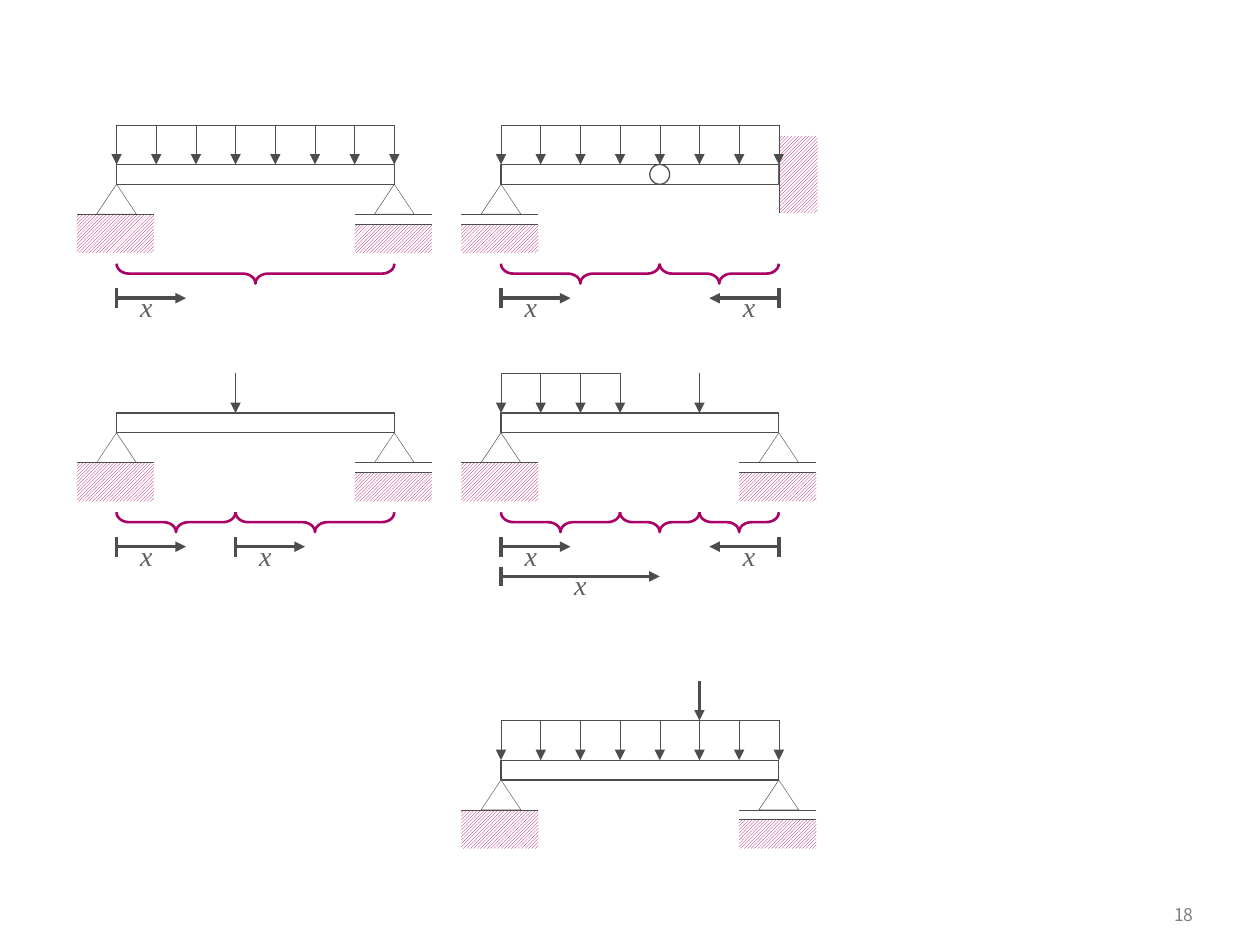
from lxml.etree import SubElement
from pptx import Presentation
from pptx.dml.color import RGBColor
from pptx.enum.dml import MSO_PATTERN
from pptx.enum.shapes import MSO_CONNECTOR, MSO_SHAPE
from pptx.enum.text import MSO_ANCHOR, PP_ALIGN
from pptx.oxml.ns import qn
from pptx.util import Pt

INK = RGBColor(0x4D, 0x4D, 0x4D)
PLUM = RGBColor(0xA9, 0x01, 0x65)
WHITE = RGBColor(0xFF, 0xFF, 0xFF)
GRAY = RGBColor(0x5F, 0x5F, 0x5F)
PALE = RGBColor(0x80, 0x80, 0x80)

BAY = 22.68           # spacing of the load arrows
SPAN = 7 * BAY        # beam length
DEEP = BAY / 2        # beam depth
BASE = 44.1           # length of a support's ground
SOIL = 22.2           # depth of the ground
THIN = 0.25


def add_line(slide, x1, y1, x2, y2, width=THIN, arrow=False):
    line = slide.shapes.add_connector(
        MSO_CONNECTOR.STRAIGHT, Pt(x1), Pt(y1), Pt(x2), Pt(y2))
    line.line.color.rgb = INK
    line.line.width = Pt(width)
    if arrow:
        SubElement(line.line._get_or_add_ln(), qn("a:tailEnd"), type="triangle")
    SubElement(line._element.spPr, qn("a:effectLst"))


def add_form(slide, kind, x, y, w, h, width=0.75, color=INK):
    form = slide.shapes.add_shape(kind, Pt(x), Pt(y), Pt(w), Pt(h))
    form.shadow.inherit = False
    form.fill.background()
    form.line.color.rgb = color
    form.line.width = Pt(width)
    return form


def add_soil(slide, x, y, w, h):
    soil = add_form(slide, MSO_SHAPE.RECTANGLE, x, y, w, h)
    soil.line.fill.background()
    soil.fill.patterned()
    soil.fill.pattern = MSO_PATTERN.LIGHT_UPWARD_DIAGONAL
    soil.fill.fore_color.rgb = PLUM
    soil.fill.back_color.rgb = WHITE
    return soil


def add_text(slide, x, y, w, h, text, font, size, color, align):
    box = slide.shapes.add_textbox(Pt(x), Pt(y), Pt(w), Pt(h))
    box.text_frame.text = text
    para = box.text_frame.paragraphs[0]
    para.alignment = align
    run = para.runs[0]
    run.font.name = font
    run.font.size = Pt(size)
    run.font.color.rgb = color
    return box, run


def add_prop(slide, x, y, roller):
    """Triangle with its tip at x, y, on fixed or rolling ground."""
    floor = y + 0.75 * BAY
    gap = BAY / 4 if roller else 0
    left = x - BAY
    add_soil(slide, left, floor + gap, BASE, SOIL - gap)
    add_line(slide, left, floor, left + BASE, floor)
    if roller:
        add_line(slide, left, floor + gap, left + BASE, floor + gap)
    add_form(slide, MSO_SHAPE.ISOSCELES_TRIANGLE,
             x - BAY / 2, y, BAY, 0.75 * BAY, THIN)


def add_wall(slide, x, y):
    """Clamped end: the ground turned upright, centred on x, y."""
    wall = add_soil(slide, x + (SOIL - BASE) / 2, y - SOIL / 2, BASE, SOIL)
    wall.rotation = 270
    add_line(slide, x, y + BASE / 2, x, y - BASE / 2)


def add_load(slide, x, y, bays):
    """Even load: a top line and one arrow per bay."""
    for i in range(bays + 1):
        at = x + i * BAY
        add_line(slide, at, y - BAY, at, y, arrow=True)
    add_line(slide, x + bays * BAY, y - BAY, x, y - BAY)


def add_brace(slide, x, y, width):
    brace = add_form(slide, MSO_SHAPE.LEFT_BRACE, x + (width - DEEP) / 2,
                     y + (DEEP - width) / 2, DEEP, width, 1.5, PLUM)
    brace.adjustments[0] = 0.625
    brace.adjustments[1] = 0.5
    brace.rotation = 270


def add_axis(slide, x, y, reach, mark):
    """Tick, arrow and letter x; reach and mark are signed bays."""
    add_line(slide, x, y + BAY / 4, x, y - BAY / 4, 0)
    add_line(slide, x, y, x + reach * BAY, y, 0, True)
    box, run = add_text(slide, x + mark * BAY - 11.16, y - 8.4, 22.32, 26.6,
                        "x", "Times New Roman", 16, GRAY, PP_ALIGN.CENTER)
    box.text_frame.word_wrap = False
    run.font.italic = True


def add_beam(slide, x, y, load=0, point=None, roll=False, wall=False,
             hinge=None, spans=(), axes=()):
    """Beam with its top left corner at x, y; places counted in bays."""
    low = y + DEEP
    # Beam and supports
    add_form(slide, MSO_SHAPE.RECTANGLE, x, y, SPAN, DEEP)
    add_prop(slide, x, low, roll)
    if wall:
        add_wall(slide, x + SPAN, y + DEEP / 2)
    else:
        add_prop(slide, x + SPAN, low, True)
    if hinge:
        add_form(slide, MSO_SHAPE.OVAL, x + hinge * BAY - DEEP / 2, y,
                 DEEP, DEEP)
    # Loads
    if load:
        add_load(slide, x, y, load)
    if point:
        at = x + point * BAY
        stacked = load > point
        end = y - BAY if stacked else y
        add_line(slide, at, end - BAY, at, end, 1.5 if stacked else THIN, True)
    # Sections and their coordinates
    start = 0
    for bays in spans:
        add_brace(slide, x + start * BAY, y + 2.5 * BAY, bays * BAY)
        start += bays
    for begin, row, reach, mark in axes:
        add_axis(slide, x + begin * BAY, y + 76.4 + row * 0.75 * BAY,
                 reach, mark)


def add_number(slide, x, y, w, h):
    box, _ = add_text(slide, x, y, w, h, "18", "Noto Sans CJK KR", 10, PALE,
                      PP_ALIGN.RIGHT)
    box.text_frame.word_wrap = True
    box.text_frame.vertical_anchor = MSO_ANCHOR.MIDDLE


def main():
    deck = Presentation()
    deck.slide_width, deck.slide_height = Pt(720), Pt(540)
    slide = deck.slides.add_slide(deck.slide_layouts[6])
    left, right = 66.6, 286.3
    top, mid, foot = 94, 236, 434.4
    # Axis: start bay, row, reach, place of the letter
    first = (0, 0, 1.75, 0.75)
    last = (7, 0, -1.75, -0.75)

    add_beam(slide, left, top, load=7, spans=(7,), axes=(first,))
    add_beam(slide, right, top, load=7, roll=True, wall=True, hinge=4,
             spans=(4, 3), axes=(first, last))
    add_beam(slide, left, mid, point=3, spans=(3, 4),
             axes=(first, (3, 0, 1.75, 0.75)))
    add_beam(slide, right, mid, load=3, point=5, spans=(3, 2, 2),
             axes=(first, last, (0, 1, 4, 2)))
    add_beam(slide, right, foot, load=7, point=5)
    add_number(slide, 638, 510.5, 51, 24)
    deck.save("out.pptx")


if __name__ == "__main__":
    main()
